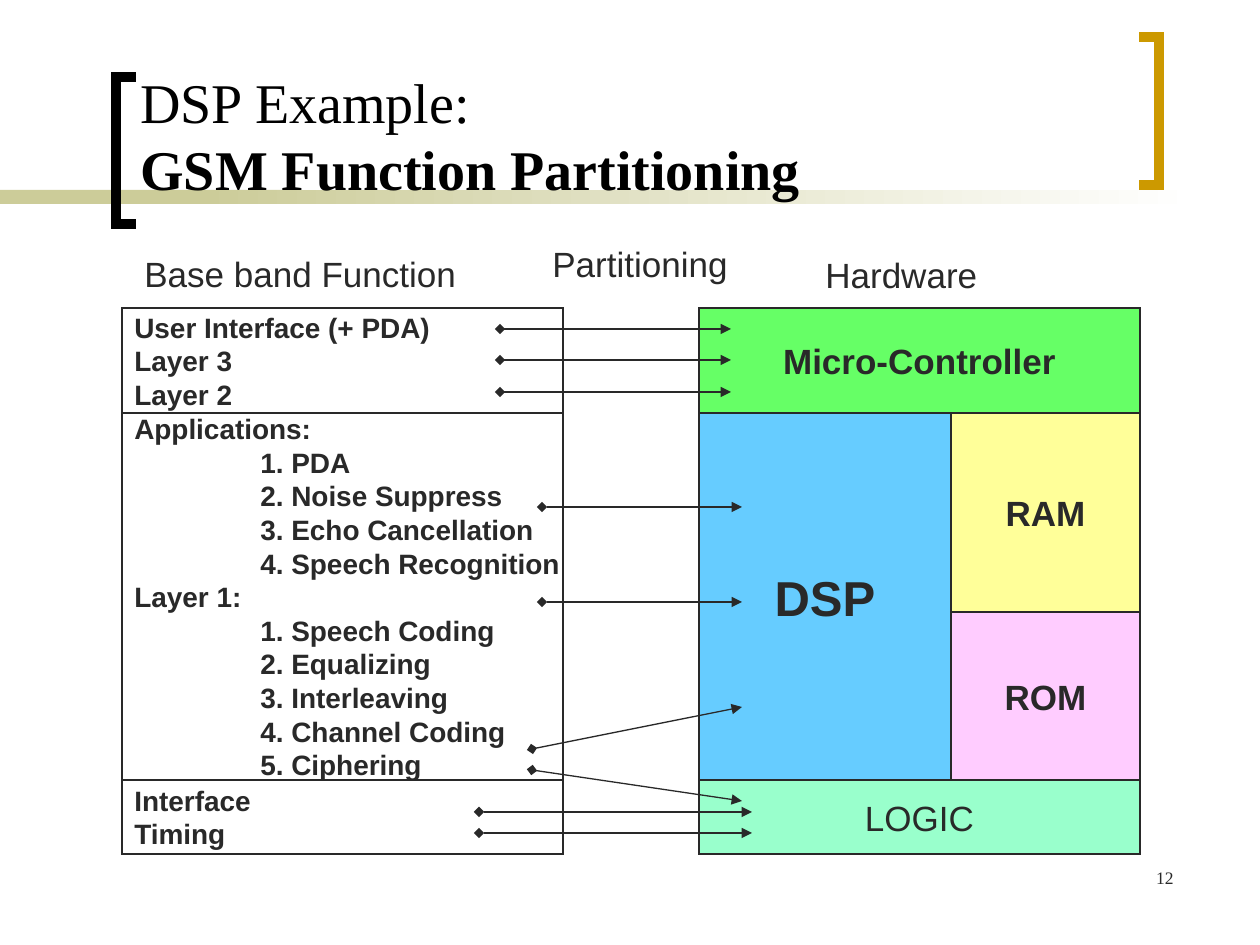
from dataclasses import dataclass

from lxml.etree import SubElement
from pptx import Presentation
from pptx.dml.color import RGBColor
from pptx.enum.shapes import MSO_CONNECTOR as CONN, MSO_SHAPE as SHAPE
from pptx.enum.text import MSO_ANCHOR as ANCHOR, MSO_AUTO_SIZE as FIT, PP_ALIGN as ALIGN
from pptx.oxml.ns import qn
from pptx.util import Emu, Pt

EMU_PER_PX = 914400 / 126  # 126 px to the inch


@dataclass(frozen=True)
class Theme:
    sans: str = "Arial"
    serif: str = "Times New Roman"
    ink: str = "292929"
    black: str = "000000"
    white: str = "FFFFFF"
    gold: str = "CC9900"
    band: str = "CCCC99"
    green: str = "66FF66"
    blue: str = "66CCFF"
    yellow: str = "FFFF99"
    pink: str = "FFCCFF"
    mint: str = "99FFCC"
    title: int = 32
    big: int = 28
    label: int = 20
    body: int = 16
    small: int = 10
    hairline: float = 0.75
    bracket: int = 6


T = Theme()


@dataclass(frozen=True)
class Style:
    size: int
    bold: bool = False
    font: str = T.sans
    color: str = T.ink


@dataclass(frozen=True)
class Block:
    x: int
    y: int
    w: int
    h: int
    lines: tuple[str, ...]
    style: Style
    fill: str = T.white
    align: ALIGN = ALIGN.CENTER


@dataclass(frozen=True)
class Label:
    x: int
    y: int
    w: int
    h: int
    text: str


@dataclass(frozen=True)
class Arrow:
    x1: int
    y1: int
    x2: int
    y2: int


BODY = Style(T.body, bold=True)
PART = Style(T.label, bold=True)
PLAIN = Style(T.label)

# Rows shared by both columns
TOP, MID, LOW, BOTTOM = 308, 413, 780, 854
LEFT, RIGHT, COL_W = 122, 699, 441
DSP_W, ROM_Y = 252, 612
MEM_X, MEM_W = RIGHT + DSP_W, COL_W - DSP_W
TAB = 126

APPLICATIONS = ("PDA", "Noise Suppress", "Echo Cancellation", "Speech Recognition")
LAYER_1 = ("Speech Coding", "Equalizing", "Interleaving", "Channel Coding", "Ciphering")


def numbered(items: tuple[str, ...]) -> tuple[str, ...]:
    return tuple(f"\t{n}. {item}" for n, item in enumerate(items, 1))


FUNCTIONS = (
    (TOP, MID, ("User Interface (+ PDA)", "Layer 3", "Layer 2")),
    (MID, LOW, ("Applications:", *numbered(APPLICATIONS),
                "Layer 1:", *numbered(LAYER_1))),
    (LOW, BOTTOM, ("Interface", "Timing")),
)
BLOCKS = (
    *(Block(LEFT, y, COL_W, end - y, lines, BODY, align=ALIGN.LEFT)
      for y, end, lines in FUNCTIONS),
    Block(RIGHT, TOP, COL_W, MID - TOP, ("Micro-Controller",), PART, T.green),
    Block(RIGHT, MID, DSP_W, LOW - MID, ("DSP",), Style(T.big, bold=True), T.blue),
    Block(MEM_X, MID, MEM_W, ROM_Y - MID, ("RAM",), PART, T.yellow),
    Block(MEM_X, ROM_Y, MEM_W, LOW - ROM_Y, ("ROM",), PART, T.pink),
    Block(RIGHT, LOW, COL_W, BOTTOM - LOW, ("LOGIC",), PLAIN, T.mint),
)
ARROWS = (
    *(Arrow(479, y, 752, y) for y in (812, 833)),
    *(Arrow(542, y, 742, y) for y in (507, 602)),
    Arrow(532, 749, 742, 707),
    Arrow(532, 770, 742, 801),
    *(Arrow(500, y, 731, y) for y in (329, 360, 392)),
)
LABELS = (
    Label(813, 247, 178, 55, "Hardware"),
    Label(132, 246, 338, 55, "Base band Function"),
    Label(540, 236, 202, 55, "Partitioning"),
)


def px(n: int) -> Emu:
    return Emu(round(n * EMU_PER_PX))


def rgb(color: str) -> RGBColor:
    return RGBColor.from_string(color)


def add_run(p, text: str, style: Style) -> None:
    r = p.add_run()
    r.text = text
    r.font.name, r.font.size, r.font.bold = style.font, Pt(style.size), style.bold
    r.font.color.rgb = rgb(style.color)


def add_tab(p) -> None:
    tabs = SubElement(p._p.get_or_add_pPr(), qn("a:tabLst"))
    SubElement(tabs, qn("a:tab"), pos=str(px(TAB)), algn="l")


def add_text_box(s, x: int, y: int, w: int, h: int):
    tf = s.shapes.add_textbox(px(x), px(y), px(w), px(h)).text_frame
    tf.word_wrap = True
    return tf


def add_bar(s, x: int, y: int, w: int, h: int):
    sp = s.shapes.add_shape(SHAPE.RECTANGLE, px(x), px(y), px(w), px(h))
    sp.shadow.inherit = False
    return sp


def set_line(sp, color: str, width: float):
    """Give a shape a line with square corners."""
    sp.line.color.rgb = rgb(color)
    sp.line.width = Pt(width)
    ln = sp._element.spPr.find(qn("a:ln"))
    SubElement(ln, qn("a:miter"), lim="800000")
    return ln


def add_block(s, b: Block) -> None:
    sp = add_bar(s, b.x, b.y, b.w, b.h)
    sp.fill.solid()
    sp.fill.fore_color.rgb = rgb(b.fill)
    set_line(sp, T.ink, T.hairline)
    tf = sp.text_frame
    tf.word_wrap = False
    tf.vertical_anchor = ANCHOR.MIDDLE
    for i, line in enumerate(b.lines):
        p = tf.add_paragraph() if i else tf.paragraphs[0]
        p.alignment = b.align
        if line.startswith("\t"):
            add_tab(p)
        add_run(p, line, b.style)


def add_label(s, lb: Label) -> None:
    tf = add_text_box(s, lb.x, lb.y, lb.w, lb.h)
    tf.word_wrap = False
    tf.auto_size = FIT.SHAPE_TO_FIT_TEXT
    add_run(tf.paragraphs[0], lb.text, PLAIN)


def add_arrow(s, a: Arrow) -> None:
    c = s.shapes.add_connector(CONN.STRAIGHT, px(a.x1), px(a.y1), px(a.x2), px(a.y2))
    ln = set_line(c, T.ink, T.hairline)
    SubElement(ln, qn("a:headEnd"), type="diamond")
    SubElement(ln, qn("a:tailEnd"), type="triangle")
    SubElement(c._element.spPr, qn("a:effectLst"))


def add_bracket(s, tip: int, spine: int, top: int, bottom: int, color: str) -> None:
    fb = s.shapes.build_freeform(px(tip), px(top))
    fb.add_line_segments([(px(x), px(y)) for x, y in
                          ((spine, top), (spine, bottom), (tip, bottom))], close=False)
    sp = fb.convert_to_shape()
    sp.shadow.inherit = False
    sp.fill.background()
    set_line(sp, color, T.bracket)


def add_frame(s) -> None:
    solid = add_bar(s, 0, 190, 294, 14)
    solid.fill.solid()
    solid.fill.fore_color.rgb = rgb(T.band)
    fade = add_bar(s, 199, 190, 998, 14)
    fade.fill.gradient()
    fade.fill.gradient_angle = 180
    for stop, color in zip(fade.fill.gradient_stops, (T.white, T.band)):
        stop.color.rgb = rgb(color)
    for sp in (solid, fade):
        sp.line.fill.background()
    add_bracket(s, 136, 116, 77, 224, T.black)
    add_bracket(s, 1139, 1159, 37, 185, T.gold)


def main() -> None:
    prs = Presentation()
    prs.slide_width, prs.slide_height = px(1260), px(945)
    s = prs.slides.add_slide(prs.slide_layouts[6])
    add_frame(s)

    # Title
    tf = add_text_box(s, 128, 13, 987, 195)
    tf.vertical_anchor = ANCHOR.BOTTOM
    p = tf.paragraphs[0]
    add_run(p, "DSP Example:", Style(T.title, False, T.serif, T.black))
    p.add_line_break()
    add_run(p, "GSM Function Partitioning", Style(T.title, True, T.serif, T.black))

    # Functions, hardware and the mapping between them
    for block in BLOCKS:
        add_block(s, block)
    for arrow in ARROWS:
        add_arrow(s, arrow)
    for label in LABELS:
        add_label(s, label)

    # Slide number
    p = add_text_box(s, 924, 861, 262, 63).paragraphs[0]
    p.alignment = ALIGN.RIGHT
    add_run(p, "12", Style(T.small, font=T.serif))
    prs.save("out.pptx")


if __name__ == "__main__":
    main()
